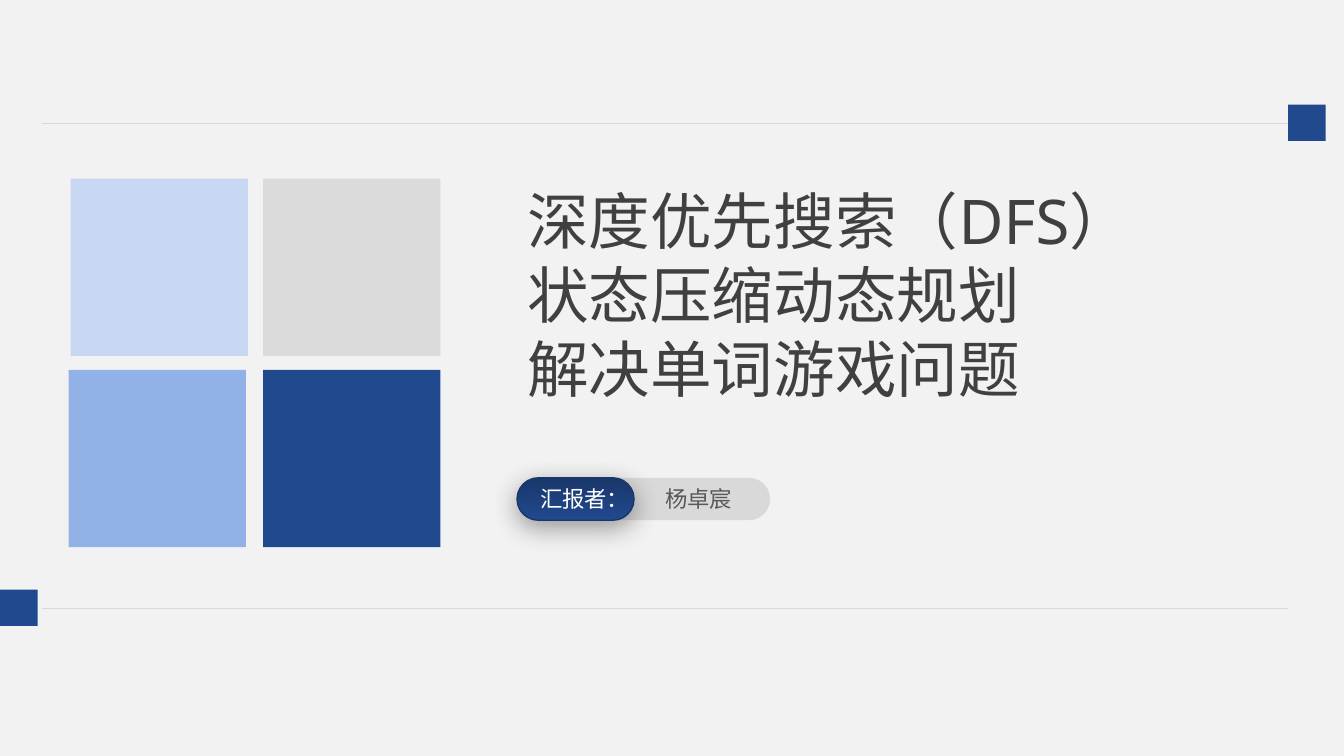
from pptx import Presentation
from pptx.dml.color import RGBColor
from pptx.enum.shapes import MSO_CONNECTOR, MSO_SHAPE
from pptx.enum.text import MSO_ANCHOR, PP_ALIGN
from pptx.oxml import parse_xml
from pptx.oxml.ns import qn
from pptx.util import Cm, Pt
from lxml.etree import SubElement

COLORS = {
    "background": "F2F2F2", "rule": "D9D9D9", "title": "404040",
    "pale": "C9D8F2", "grey": "DBDBDB", "sky": "92B1E6",
    "blue": "21498E", "navy": "19376A", "white": "FFFFFF",
    "name": "595959", "shadow": "262626",
}
FONT = "Noto Sans"


def rgb(key):
    return RGBColor.from_string(COLORS[key])


class SlideBuilder:
    def __init__(self, prs):
        self.s = prs.slides.add_slide(prs.slide_layouts[5])
        self.s.background.fill.solid()
        self.s.background.fill.fore_color.rgb = rgb("background")

    def run(self, p, text, size, color):
        r = p.add_run()
        r.text = text
        r.font.name, r.font.size = FONT, Pt(size)
        r.font.color.rgb = rgb(color)
        SubElement(r.font._element, qn("a:ea")).set("typeface", FONT)

    def title(self, x, y, w, h, lines):
        sp = self.s.shapes.title
        sp.left, sp.top, sp.width, sp.height = Cm(x), Cm(y), Cm(w), Cm(h)
        tf = sp.text_frame
        tf.vertical_anchor = MSO_ANCHOR.MIDDLE
        for i, line in enumerate(lines):
            p = tf.add_paragraph() if i else tf.paragraphs[0]
            p.alignment = PP_ALIGN.LEFT
            p.line_spacing = Pt(53)
            p.space_before = Pt(0)
            self.run(p, line, 44, "title")

    def rule(self, x1, x2, y):
        line = self.s.shapes.add_connector(
            MSO_CONNECTOR.STRAIGHT, Cm(x1), Cm(y), Cm(x2), Cm(y))
        line.line.color.rgb = rgb("rule")
        line.line.width = Pt(0.5)
        SubElement(line._element.spPr, qn("a:effectLst"))

    def box(self, x, y, w, h, color, kind=MSO_SHAPE.RECTANGLE, parent=None):
        sp = (parent or self.s).shapes.add_shape(
            kind, Cm(x), Cm(y), Cm(w), Cm(h))
        sp.shadow.inherit = False
        sp.fill.solid()
        sp.fill.fore_color.rgb = rgb(color)
        sp.line.fill.background()
        return sp

    def pill(self, x, y, w, h, color, parent):
        sp = self.box(x, y, w, h, color, MSO_SHAPE.ROUNDED_RECTANGLE, parent)
        sp.adjustments[0] = 0.5
        return sp

    def raise_pill(self, sp, top, bottom):
        sp.fill.gradient()
        sp.fill.gradient_angle = 270
        for stop, key in zip(sp.fill.gradient_stops, (top, bottom)):
            stop.color.rgb = rgb(key)
        sp.line.color.rgb = rgb(top)
        sp.line.width = Pt(1)
        sp._element.spPr.find(qn("a:effectLst")).append(parse_xml(
            '<a:outerShdw xmlns:a="http://schemas.openxmlformats.org/drawingml/2006/main"'
            f' blurRad="{Pt(19)}" dist="{Pt(5)}" dir="5400000" algn="t" rotWithShape="0">'
            f'<a:srgbClr val="{COLORS["shadow"]}"><a:alpha val="43000"/></a:srgbClr>'
            '</a:outerShdw>'))

    def label(self, x, y, w, h, text, color, parent):
        tf = parent.shapes.add_textbox(Cm(x), Cm(y), Cm(w), Cm(h)).text_frame
        tf.word_wrap = True
        self.run(tf.paragraphs[0], text, 16, color)


prs = Presentation()
prs.slide_width, prs.slide_height = Cm(33.87), Cm(19.05)
cover = SlideBuilder(prs)

# Rules with a square at one end
for rule_y, square_x in ((3.1, 32.46), (15.32, 0)):
    cover.rule(1.07, 32.46, rule_y)
    cover.box(square_x, rule_y - 0.46, 0.95, 0.91, "blue")

# Four tiles
for x, y, color in ((1.78, 4.5, "pale"), (6.63, 4.5, "grey"),
                    (1.73, 9.32, "sky"), (6.63, 9.32, "blue")):
    cover.box(x, y, 4.47, 4.47, color)

# Title
cover.title(13.03, 4.5, 19.3, 5.79,
            ("深度优先搜索（DFS）", "状态压缩动态规划", "解决单词游戏问题"))

# Presenter badge
badge = cover.s.shapes.add_group_shape()
cover.pill(13.03, 12.04, 6.38, 1.07, "rule", badge)
front = cover.pill(13.03, 12.04, 2.95, 1.07, "blue", badge)
cover.raise_pill(front, "navy", "blue")
for x, text, color in ((13.36, "汇报者：", "white"), (16.51, "杨卓宸", "name")):
    cover.label(x, 12.09, 2.9, 0.94, text, color, badge)

prs.save("out.pptx")
